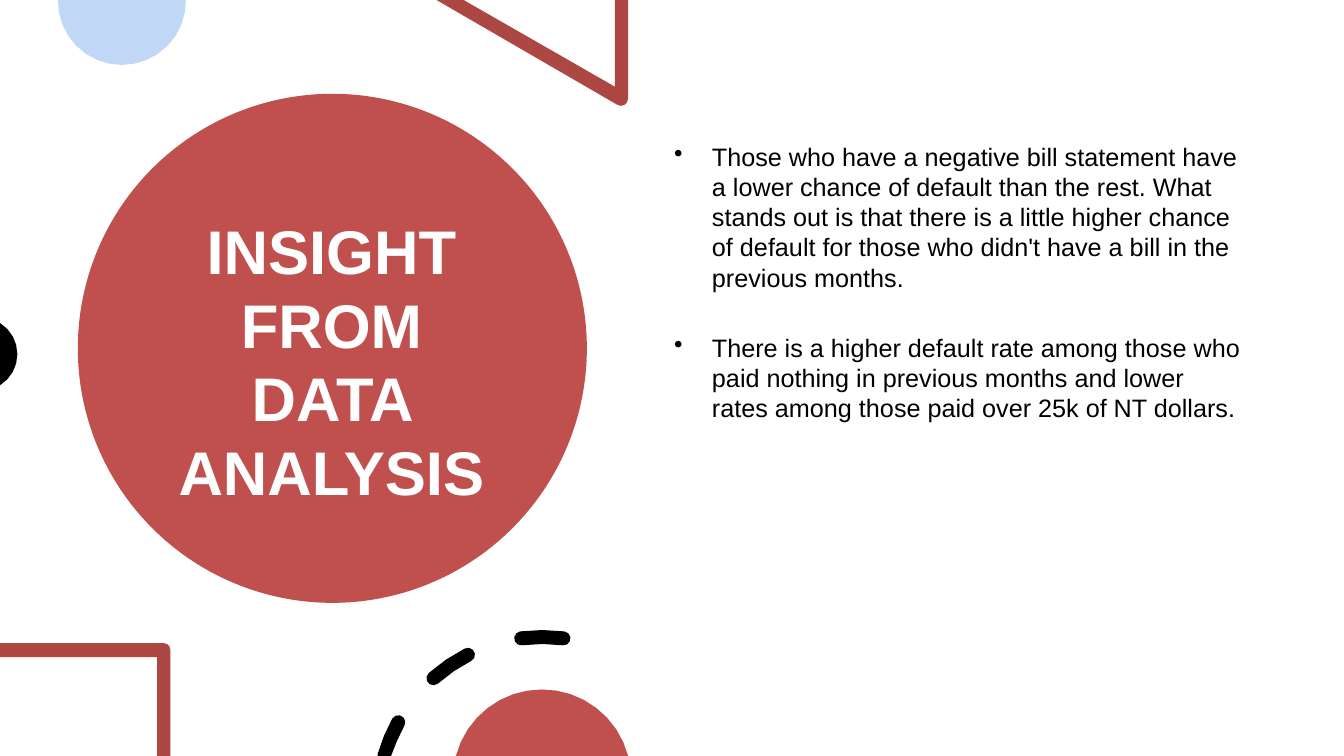
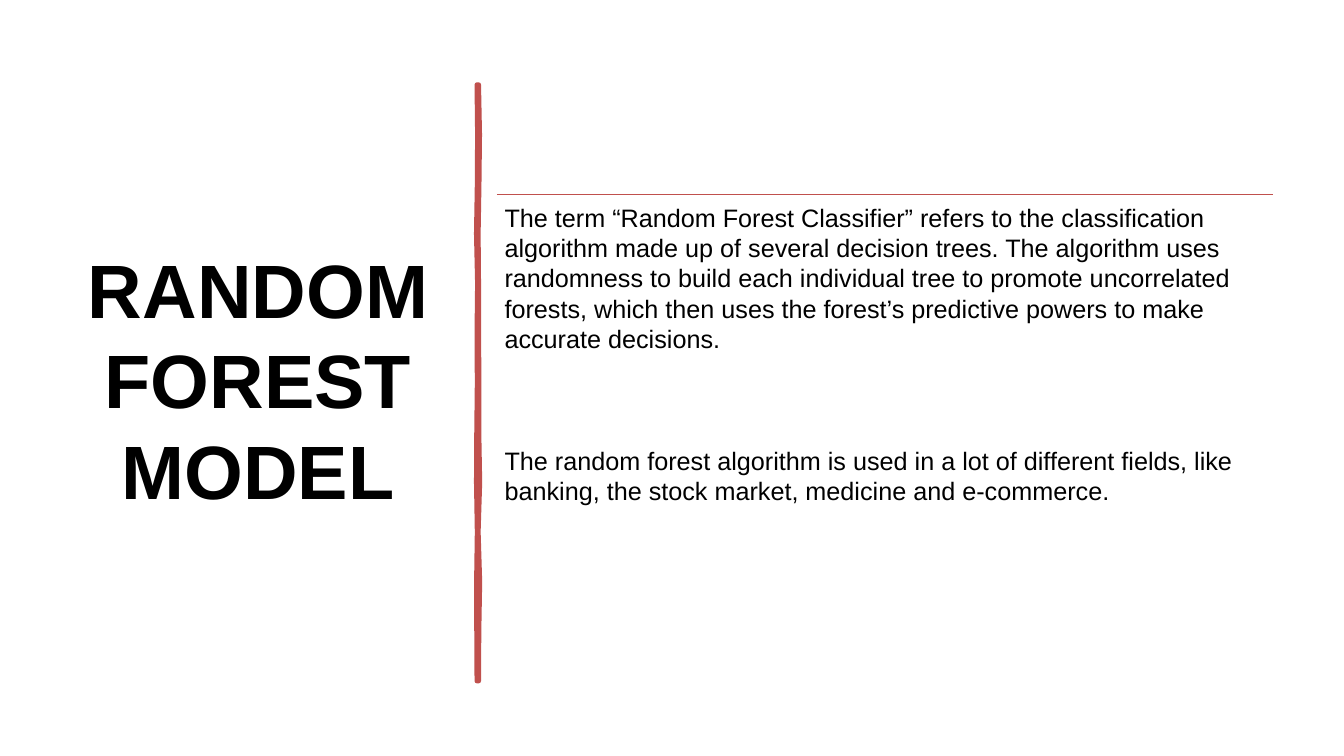
from math import cos, radians, sin, sqrt

from pptx import Presentation
from pptx.dml.color import RGBColor
from pptx.enum.shapes import MSO_CONNECTOR as Connector, MSO_SHAPE as Shape
from pptx.enum.text import MSO_ANCHOR as Anchor, PP_ALIGN as Align
from pptx.oxml.xmlchemy import OxmlElement
from pptx.util import Pt

WIDTH, HEIGHT = 960, 540
COLOURS = {
    "red": "C0504D",
    "brick": "AC4744",
    "blue": "C0D7F5",
    "black": "000000",
    "white": "FFFFFF",
}


def polar(x, y, radius, angle):
    """Return the point at an angle, clockwise from the right."""
    return x + radius * cos(radians(angle)), y + radius * sin(radians(angle))


def arc(x, y, radius, start, end):
    """Return points on an arc, just close enough to look round."""
    steps = max(2, round(sqrt(radius) * abs(end - start) / 75))
    return [polar(x, y, radius, start + (end - start) * i / steps)
            for i in range(steps + 1)]


def ring_dash(x, y, radius, half, start, end):
    """Return the outline of a round-ended ring dash, cut at the slide's foot."""
    first, last = polar(x, y, radius, start), polar(x, y, radius, end)
    outline = (arc(*last, half, end, end + 180)
               + arc(x, y, radius - half, end, start)[1:]
               + arc(*first, half, start + 180, start + 360)[1:]
               + arc(x, y, radius + half, start, end)[1:-1])
    return [(px, min(py, HEIGHT)) for px, py in outline]


class SlideWriter:
    """Holds the deck's style and draws on the current slide."""

    font = "Arial"
    body_size = 18
    bullet_indent = 27
    inset = 5.4

    def __init__(self):
        """Start an empty widescreen deck."""
        self.deck = Presentation()
        self.deck.slide_width, self.deck.slide_height = Pt(WIDTH), Pt(HEIGHT)
        self.page = None

    def colour(self, name):
        """Look up a named colour."""
        return RGBColor.from_string(COLOURS[name])

    def new_page(self):
        """Add a blank slide and make it current."""
        self.page = self.deck.slides.add_slide(self.deck.slide_layouts[6])

    def paint(self, shape, fill, line_width=0):
        """Fill a shape, with an outline of the same colour if it has a width."""
        shape.shadow.inherit = False
        shape.fill.solid()
        shape.fill.fore_color.rgb = self.colour(fill)
        if line_width:
            shape.line.color.rgb = self.colour(fill)
            shape.line.width = Pt(line_width)
        else:
            shape.line.fill.background()

    def circle(self, left, top, size, fill):
        """Draw a whole circle."""
        shape = self.page.shapes.add_shape(
            Shape.OVAL, Pt(left), Pt(top), Pt(size), Pt(size))
        self.paint(shape, fill)

    def outline(self, contours, fill, line_width=0):
        """Draw one filled shape from closed contours."""
        builder = None
        for contour in contours:
            points = [(Pt(x), Pt(y)) for x, y in contour]
            if builder is None:
                builder = self.page.shapes.build_freeform(*points[0])
            else:
                builder.move_to(*points[0])
            builder.add_line_segments(points[1:], close=True)
        self.paint(builder.convert_to_shape(), fill, line_width)

    def rule(self, left, right, y, colour):
        """Draw a thin horizontal line."""
        line = self.page.shapes.add_connector(
            Connector.STRAIGHT, Pt(left), Pt(y), Pt(right), Pt(y))
        line.line.color.rgb = self.colour(colour)
        line.line.width = Pt(0.5)
        line._element.spPr.append(OxmlElement("a:effectLst"))

    def text(self, area, paragraphs, size, colour="black", bold=False):
        """Add a wrapping text box and return its frame."""
        box = self.page.shapes.add_textbox(*map(Pt, area))
        frame = box.text_frame
        frame.word_wrap = True
        frame.text = "\n".join(paragraphs)
        for para in frame.paragraphs:
            for span in para.runs:
                span.font.name = self.font
                span.font.size = Pt(size)
                span.font.bold = bold
                span.font.color.rgb = self.colour(colour)
        return frame

    def title(self, area, wording, size, colour="black"):
        """Add a bold title centred in its area."""
        frame = self.text(area, [wording], size, colour, bold=True)
        frame.vertical_anchor = Anchor.MIDDLE
        frame.paragraphs[0].alignment = Align.CENTER

    def bullets(self, area, items, gap):
        """Add a bulleted list with a gap between items."""
        frame = self.text(area, items, self.body_size)
        for index, para in enumerate(frame.paragraphs):
            para.space_before = Pt(gap if index else 0)
            properties = para._p.get_or_add_pPr()
            properties.set("marL", str(Pt(self.bullet_indent)))
            properties.set("indent", str(-Pt(self.bullet_indent)))
            mark = OxmlElement("a:buChar")
            mark.set("char", "•")
            properties.append(mark)

    def passage(self, area, wording):
        """Add a body paragraph with slim margins."""
        frame = self.text(area, [wording], self.body_size)
        frame.margin_left = frame.margin_right = Pt(self.inset)
        frame.margin_top = frame.margin_bottom = Pt(self.inset)


def build_insight(writer):
    """Build the data insight slide."""
    writer.new_page()
    writer.circle(55.6, 67, 363.6, "red")
    writer.title((109.4, 97.2, 254.9, 320.4), "INSIGHT FROM DATA ANALYSIS", 44, "white")
    writer.outline([arc(87.1, 0.7, 45.7, -1, 181)], "blue")
    triangle = [(448.6, 0), (439.2, 0), (439.2, 61.9), (331.2, 0), (311.8, 0)]
    writer.outline([triangle + arc(443.6, 70.6, 5, 120, 0)], "brick")
    writer.outline([arc(-13.7, 253, 26.1, -58, 58)], "black")
    writer.bullets((474.5, 97.2, 419.8, 352.8), [
        "Those who have a negative bill statement have a lower chance of default "
        "than the rest. What stands out is that there is a little higher chance of "
        "default for those who didn't have a bill in the previous months.",
        "There is a higher default rate among those who paid nothing in previous "
        "months and lower rates among those paid over 25k of NT dollars.",
    ], gap=28.6)
    corner = arc(117, 464.1, 4.7, 270, 360)
    inside = [(121.7, HEIGHT), (112.3, HEIGHT), (112.3, 469.4), (0, 469.4)]
    writer.outline([[(0, 459.4)] + corner + inside], "brick")
    dashes = [(196, 208.8), (228.5, 243.1), (262.6, 277.4)]
    writer.outline([ring_dash(387.4, 572.4, 117.4, 5, *ends) for ends in dashes], "black")
    writer.outline([arc(387.2, 556.1, 63.6, 194.7, 345.3)], "red")


def build_model(writer):
    """Build the random forest slide."""
    writer.new_page()
    writer.title((49.7, 50.4, 269.3, 439.9), "RANDOM FOREST MODEL", 54)
    top, step = 60.5, 35.5
    right_edge = [342, 342.7, 342.3, 341.7, 342, 342, 342.3, 342.2,
                  342.8, 341.7, 342.8, 342.2, 342]
    left_edge = [340.6, 341, 340.8, 340.2, 341, 340.6, 340.8, 340.4,
                 340.2, 340.8, 340.3, 340.4, 340.6]
    down = [(x, top + i * step) for i, x in enumerate(right_edge)]
    up = [(x, top + i * step) for i, x in enumerate(left_edge)][::-1]
    writer.outline([down + up], "red", 3.25)
    left, width, first, height = 355, 554.4, 139, 173.5
    passages = [
        ("red", "The term “Random Forest Classifier” refers to the classification "
         "algorithm made up of several decision trees. The algorithm uses randomness "
         "to build each individual tree to promote uncorrelated forests, which then "
         "uses the forest’s predictive powers to make accurate decisions."),
        ("white", "The random forest algorithm is used in a lot of different fields, "
         "like banking, the stock market, medicine and e-commerce."),
    ]
    for index, (colour, wording) in enumerate(passages):
        y = first + index * height
        writer.rule(left, left + width, y, colour)
        writer.passage((left, y, width, height), wording)


writer = SlideWriter()
build_insight(writer)
build_model(writer)
writer.deck.save("out.pptx")
